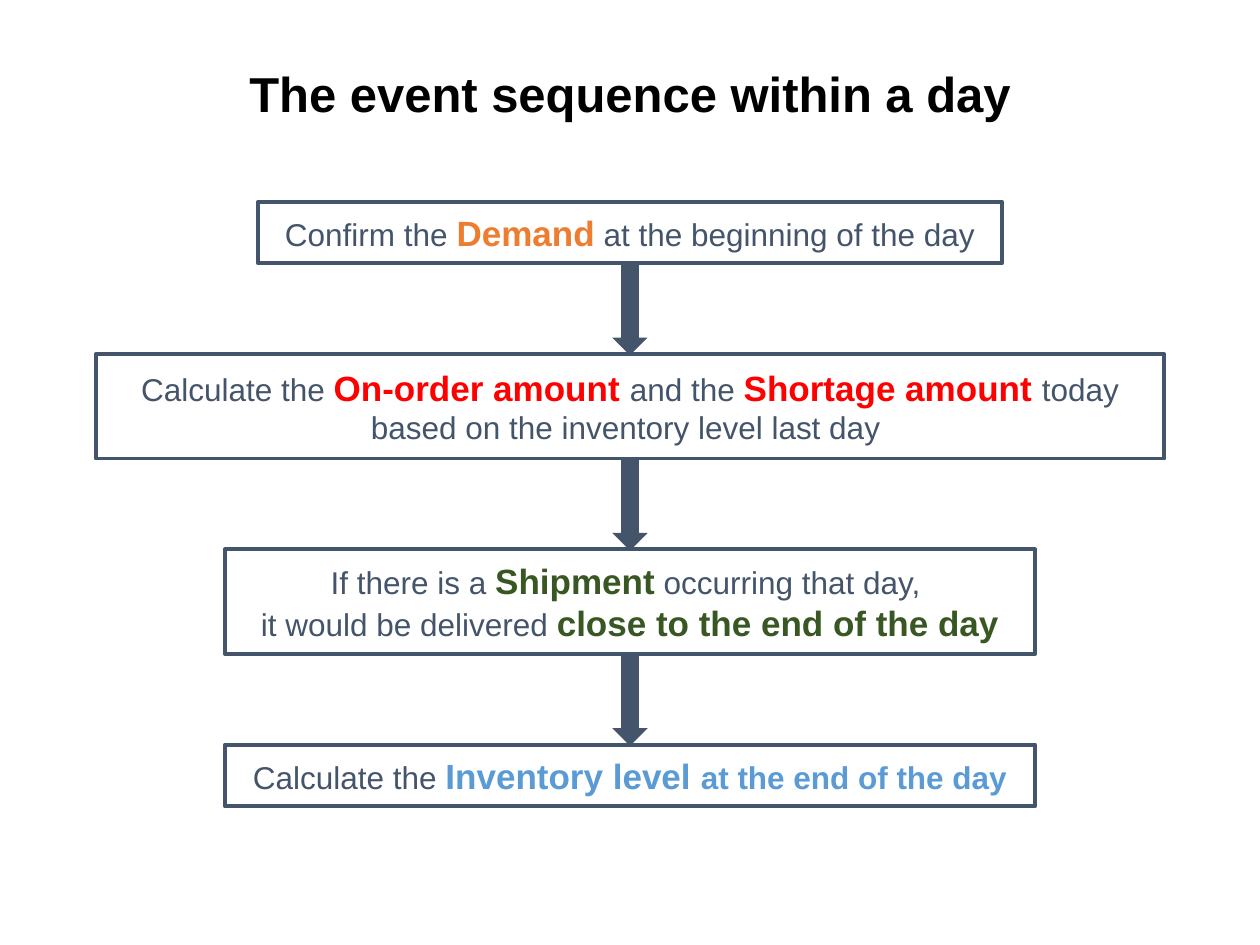
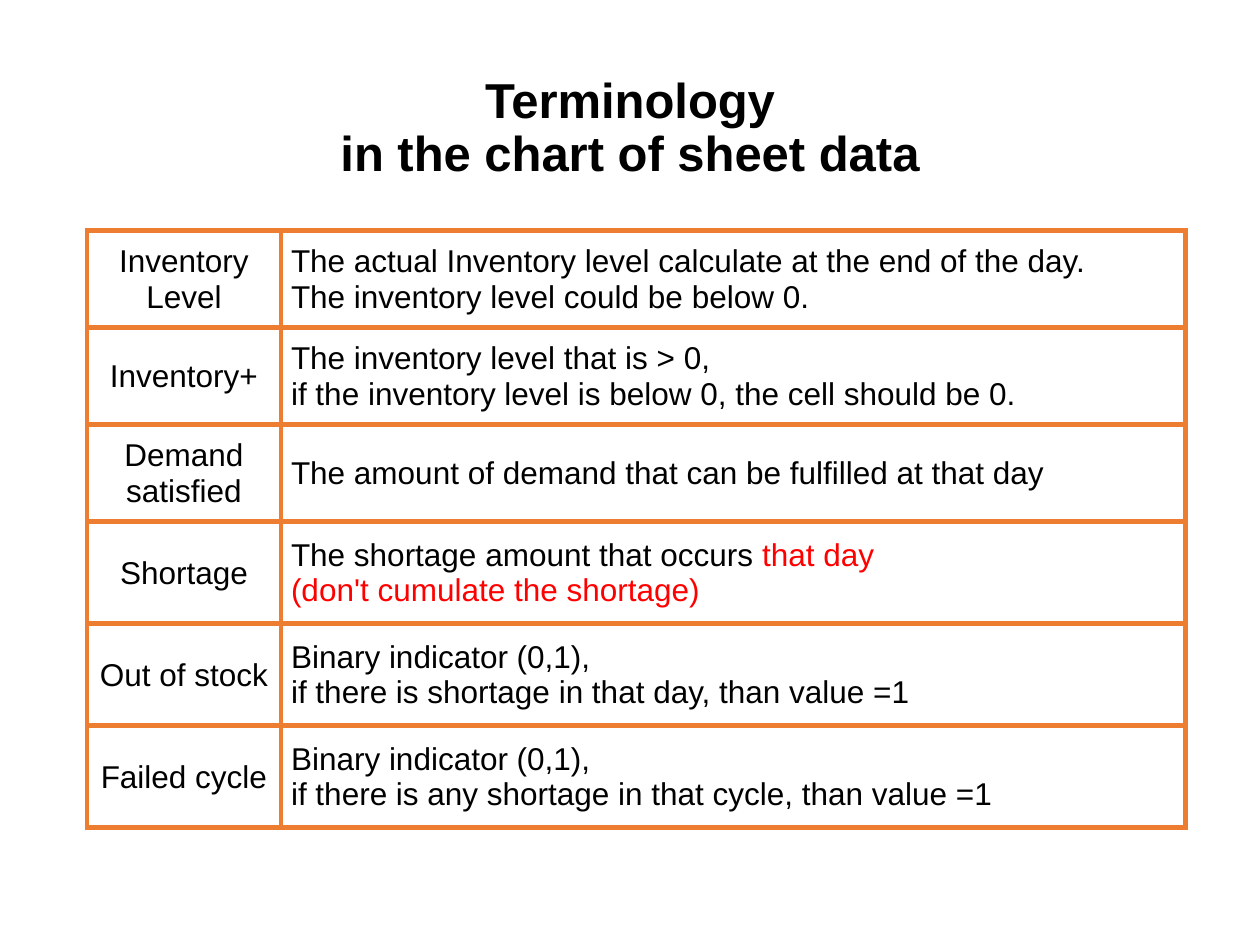
from dataclasses import dataclass
from typing import NamedTuple

from lxml import etree
from pptx import Presentation
from pptx import util as u
from pptx.dml.color import RGBColor
from pptx.enum import shapes, text
from pptx.oxml import ns


@dataclass(frozen=True)
class Theme:
    font: str = "Arial"
    black: str = "000000"
    slate: str = "44546A"
    orange: str = "ED7D31"
    red: str = "FF0000"
    green: str = "385723"
    blue: str = "5B9BD5"
    title: int = 28
    strong: int = 20
    body: int = 18
    box_line: float = 2.25
    grid_line: float = 3


THEME = Theme()
TITLE_ONLY = 5


class Run(NamedTuple):
    text: str
    color: str
    size: int = THEME.body
    bold: bool = False


Line = list[Run]


class Step(NamedTuple):
    width: float
    height: float
    lines: list[Line]


class Term(NamedTuple):
    name: list[Line]
    meaning: list[Line]
    height: float


def plain(words: str) -> Run:
    return Run(words, THEME.slate)


def strong(words: str, color: str) -> Run:
    return Run(words, color, THEME.strong, True)


def black(*lines: str) -> list[Line]:
    return [[Run(line, THEME.black)] for line in lines]


STEPS = [
    Step(5.9, 0.49, [[plain("Confirm the "), strong("Demand", THEME.orange),
                      plain(" at the beginning of the day")]]),
    Step(8.48, 0.83, [[plain("Calculate the "), strong("On-order amount ", THEME.red),
                       plain("and the "), strong("Shortage amount ", THEME.red),
                       plain("today based on the inventory level last day ")]]),
    Step(6.43, 0.83, [[plain("If there is a "), strong("Shipment", THEME.green),
                       plain(" occurring that day, ")],
                      [plain("it would be delivered "),
                       strong("close to the end of the day", THEME.green)]]),
    Step(6.43, 0.49, [[plain("Calculate the "), strong("Inventory level ", THEME.blue),
                       Run("at the end of the day", THEME.blue, bold=True)]]),
]
STEPS_TOP, STEP_GAP = 1.6, 0.72
ARROW_WIDTH, ARROW_HEIGHT = 0.28, 0.73
CENTER = 5

TERMS = [
    Term(black("Inventory", "Level"),
         black("The actual Inventory level calculate at the end of the day.",
               "The inventory level could be below 0."), 0.77),
    Term(black("Inventory+"),
         black("The inventory level that is > 0,",
               "if the inventory level is below 0, the cell should be 0."), 0.77),
    Term(black("Demand satisfied"),
         black("The amount of demand that can be fulfilled at that day"), 0.77),
    Term(black("Shortage"),
         [[Run("The shortage amount that occurs ", THEME.black), Run("that day", THEME.red)],
          [Run("(don't cumulate the shortage)", THEME.red)]], 0.81),
    Term(black("Out of stock"),
         black("Binary indicator (0,1),",
               "if there is shortage in that day, than value =1"), 0.81),
    Term(black("Failed cycle"),
         black("Binary indicator (0,1),",
               "if there is any shortage in that cycle, than value =1"), 0.81),
]
TERM_COLUMNS = (1.54, 7.18)


def style_font(font, color: str, size: int, bold: bool) -> None:
    font.name, font.size, font.bold = THEME.font, u.Pt(size), bold
    font.color.rgb = RGBColor.from_string(color)


def write(tf, lines: list[Line], align: text.PP_ALIGN) -> None:
    for i, line in enumerate(lines):
        p = tf.add_paragraph() if i else tf.paragraphs[0]
        p.alignment = align
        for run in line:
            r = p.add_run()
            r.text = run.text
            style_font(r.font, run.color, run.size, run.bold)


def add_titled_slide(prs, title: str, top: float, height: float):
    s = prs.slides.add_slide(prs.slide_layouts[TITLE_ONLY])
    sp = s.shapes.title
    sp.left, sp.top = u.Inches(0.69), u.Inches(top)
    sp.width, sp.height = u.Inches(8.62), u.Inches(height)
    tf = sp.text_frame
    tf.text = title
    tf.auto_size = text.MSO_AUTO_SIZE.NONE
    tf.vertical_anchor = text.MSO_ANCHOR.MIDDLE
    p = tf.paragraphs[0]
    p.alignment, p.line_spacing = text.PP_ALIGN.CENTER, 0.9
    style_font(p.font, THEME.black, THEME.title, True)
    return s


def add_centered(s, kind: shapes.MSO_SHAPE, top: float, width: float, height: float):
    """Add a shape without shadow, centred across the slide."""
    sp = s.shapes.add_shape(kind, u.Inches(CENTER - width / 2), u.Inches(top),
                            u.Inches(width), u.Inches(height))
    sp.shadow.inherit = False
    return sp


def add_step(s, step: Step, top: float) -> None:
    sp = add_centered(s, shapes.MSO_SHAPE.RECTANGLE, top, step.width, step.height)
    sp.fill.background()
    sp.line.color.rgb = RGBColor.from_string(THEME.slate)
    sp.line.width = u.Pt(THEME.box_line)
    tf = sp.text_frame
    tf.word_wrap = True
    tf.vertical_anchor = text.MSO_ANCHOR.MIDDLE
    write(tf, step.lines, text.PP_ALIGN.CENTER)


def add_arrow(s, top: float) -> None:
    sp = add_centered(s, shapes.MSO_SHAPE.DOWN_ARROW, top, ARROW_WIDTH, ARROW_HEIGHT)
    sp.fill.solid()
    sp.fill.fore_color.rgb = RGBColor.from_string(THEME.slate)
    sp.line.fill.background()


def set_borders(cell) -> None:
    tc_pr = cell._tc.get_or_add_tcPr()
    for i, side in enumerate(("lnL", "lnR", "lnT", "lnB")):
        ln = etree.Element(ns.qn(f"a:{side}"), w=str(u.Pt(THEME.grid_line)))
        fill = etree.SubElement(ln, ns.qn("a:solidFill"))
        etree.SubElement(fill, ns.qn("a:srgbClr"), val=THEME.orange)
        tc_pr.insert(i, ln)


def fill_cell(cell, lines: list[Line], align: text.PP_ALIGN, left: float) -> None:
    cell.fill.background()
    cell.vertical_anchor = text.MSO_ANCHOR.MIDDLE
    cell.margin_left = u.Inches(left)
    cell.margin_right = cell.margin_top = u.Inches(0.01)
    cell.margin_bottom = 0
    write(cell.text_frame, lines, align)
    set_borders(cell)


def build_sequence(prs) -> None:
    s = add_titled_slide(prs, "The event sequence within a day", 0.48, 0.58)
    top = STEPS_TOP
    for i, step in enumerate(STEPS):
        if i:
            add_arrow(s, top - STEP_GAP)
        add_step(s, step, top)
        top += step.height + STEP_GAP


def build_terminology(prs) -> None:
    s = add_titled_slide(prs, "Terminology\vin the chart of sheet data", 0.35, 1.35)
    table = s.shapes.add_table(
        len(TERMS), len(TERM_COLUMNS), u.Inches(0.69), u.Inches(1.83),
        u.Inches(sum(TERM_COLUMNS)), u.Inches(sum(t.height for t in TERMS))).table
    table.first_row = table.horz_banding = False
    for column, width in zip(table.columns, TERM_COLUMNS):
        column.width = u.Inches(width)
    for i, term in enumerate(TERMS):
        table.rows[i].height = u.Inches(term.height)
        fill_cell(table.cell(i, 0), term.name, text.PP_ALIGN.CENTER, 0.01)
        fill_cell(table.cell(i, 1), term.meaning, text.PP_ALIGN.LEFT, 0.08)


def main() -> None:
    prs = Presentation()
    prs.slide_width, prs.slide_height = u.Inches(10), u.Inches(7.5)
    build_sequence(prs)
    build_terminology(prs)
    prs.save("out.pptx")


if __name__ == "__main__":
    main()
